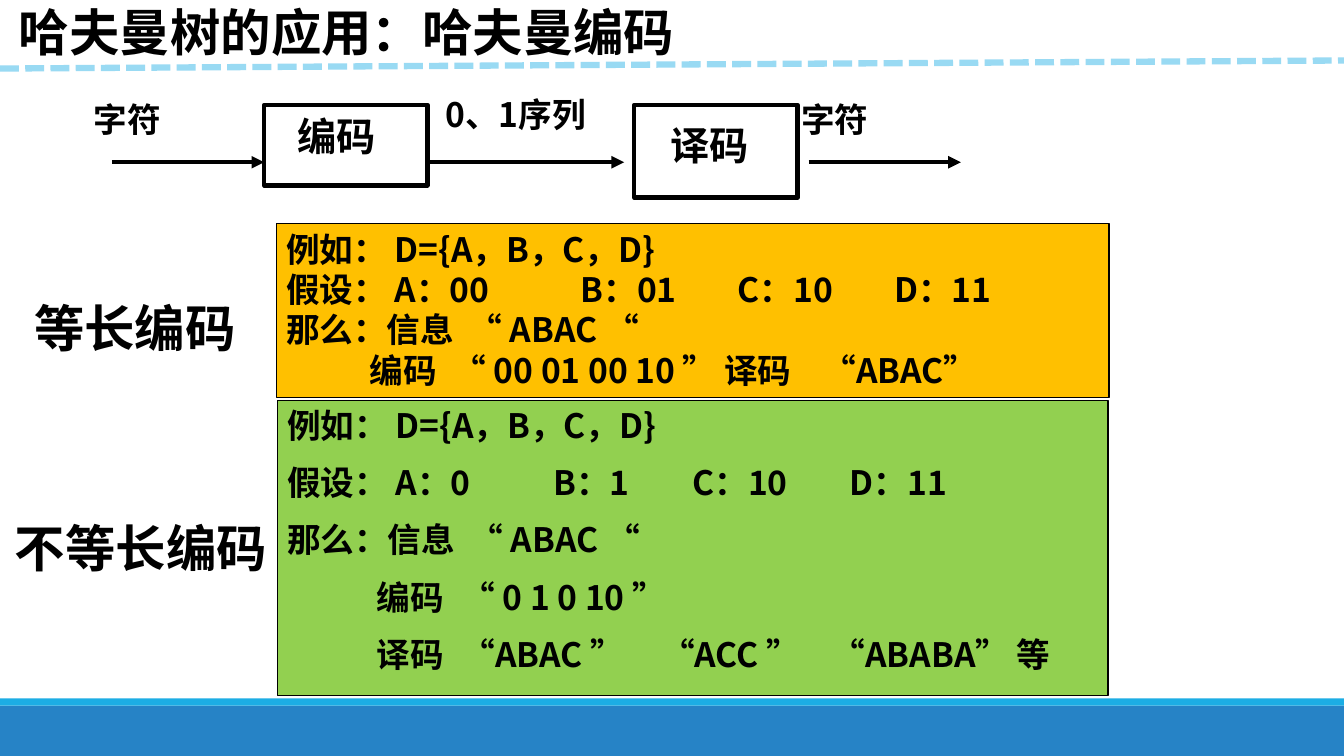
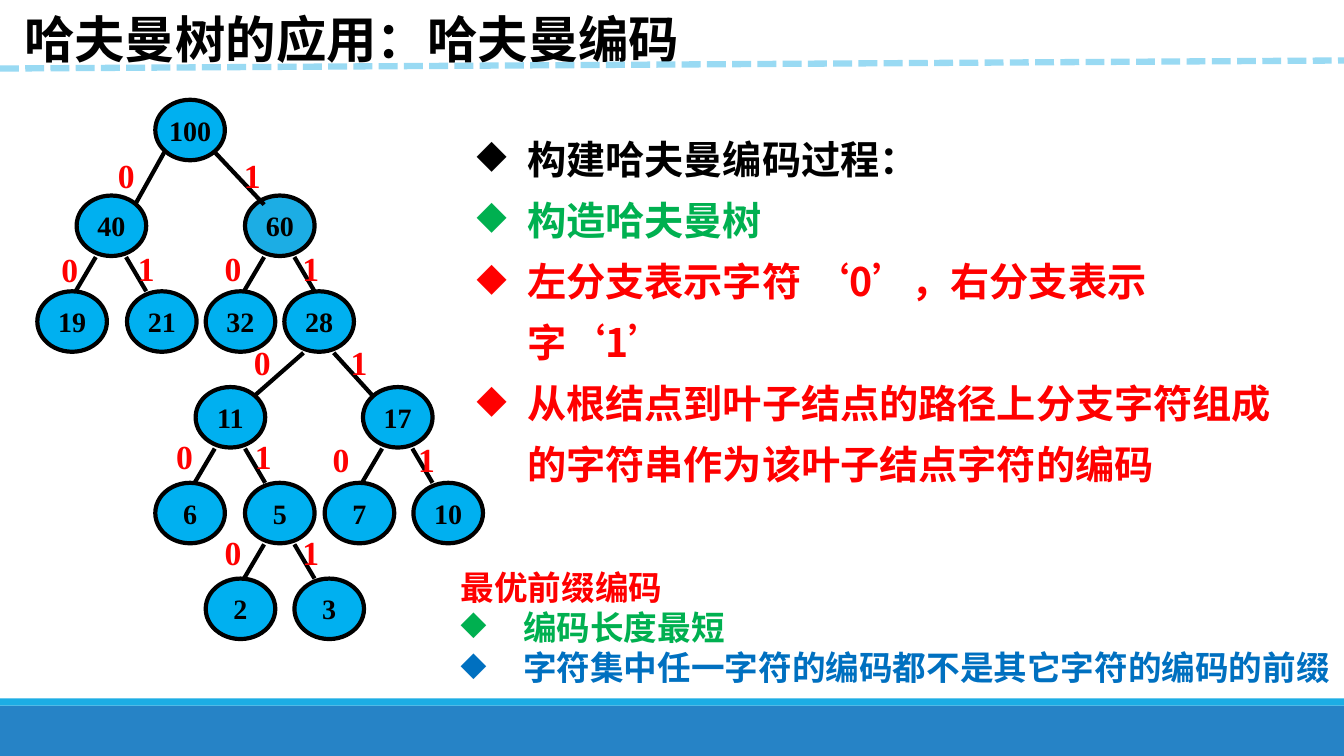
"""Build two slides on Huffman coding."""
from dataclasses import dataclass

import lxml.etree
import pptx
import pptx.dml.color
import pptx.enum.dml
import pptx.enum.shapes
import pptx.enum.text
import pptx.oxml.ns
import pptx.presentation
import pptx.shapes.autoshape
import pptx.shapes.connector
import pptx.slide
import pptx.util

EMU_PER_PX = 9144
SANS, SERIF = "Noto Sans CJK SC", "Times New Roman"
BLACK, RED, GREEN, BLUE = "000000", "FF0000", "00B050", "0070C0"
AMBER, LIME, NODE_BLUE, ACCENT = "FFC000", "92D050", "00B0F0", "1CADE4"
FOOTER_BLUE, DASH_BLUE = "2683C6", "99DAF3"
TITLE = "哈夫曼树的应用：哈夫曼编码"
NODE_WIDTH, NODE_HEIGHT = 69, 60
TREE_TOP, LEVEL_STEP = 99, 95
RECT = pptx.enum.shapes.MSO_SHAPE.RECTANGLE
OVAL = pptx.enum.shapes.MSO_SHAPE.OVAL


@dataclass(frozen=True)
class Box:
    left: int
    top: int
    width: int
    height: int


@dataclass(frozen=True)
class Line:
    text: str
    size: int = 24
    color: str = BLACK
    font: str = SANS
    spacing: float | None = None
    before: int = 0
    hanging: int = 0
    tabs: tuple[int, ...] = ()


@dataclass(frozen=True)
class Node:
    label: str
    center: int
    level: int
    fill: str = NODE_BLUE

    @property
    def top(self) -> int:
        return TREE_TOP + self.level * LEVEL_STEP


@dataclass(frozen=True)
class Branch:
    parent: str
    zero_at: tuple[int, int]
    one_at: tuple[int, int]
    start: tuple[int, int] = (15, 61)
    left_reach: int = 35
    right_reach: int = 35
    drop: int = 95


NODES = (
    Node("100", 188, 0),
    Node("40", 110, 1), Node("60", 277, 1, ACCENT),
    Node("19", 71, 2), Node("21", 160, 2), Node("32", 238, 2), Node("28", 316, 2),
    Node("11", 228, 3), Node("17", 394, 3),
    Node("6", 188, 4), Node("5", 277, 4), Node("7", 356, 4), Node("10", 444, 4),
    Node("2", 238, 5), Node("3", 326, 5),
)
BRANCHES = (
    Branch("100", (107, 149), (232, 149), (25, 52), 54, 74, 104),
    Branch("40", (51, 242), (127, 241)),
    Branch("60", (213, 241), (290, 241)),
    Branch("28", (242, 334), (338, 334), (15, 61), 64, 54, 104),
    Branch("11", (165, 428), (243, 428)),
    Branch("17", (320, 430), (405, 430)),
    Branch("5", (213, 523), (290, 523)),
)
FIXED_LENGTH = (
    Line("例如： D={A，B，C，D}"),
    Line("假设： A：00\tB：01\tC：10\tD：11", tabs=(292, 448, 603)),
    Line("那么：信息\t“ ABAC “", tabs=(181,)),
    Line("\t编码\t“ 00 01 00 10 ” 译码\t“ABAC”", tabs=(83, 165, 532)),
)
VARIABLE_LENGTH = (
    Line("例如： D={A，B，C，D}"),
    Line("假设： A：0\tB：1\tC：10\tD：11", before=12, tabs=(264, 402, 558)),
    Line("那么：信息\t“ ABAC “", before=12, tabs=(181,)),
    Line("\t编码\t“ 0 1 0 10 ”", before=12, tabs=(89, 173)),
    Line("\t译码\t“ABAC ”\t“ACC ”\t“ABABA” 等", before=12, tabs=(89, 173, 371, 540)),
)
STEPS = (
    ("构建哈夫曼编码过程：", BLACK),
    ("构造哈夫曼树", GREEN),
    ("左分支表示字符 ‘0’，右分支表示字‘1’", RED),
    ("从根结点到叶子结点的路径上分支字符组成的字符串作为该叶子结点字符的编码", RED),
)


def px(length: int) -> pptx.util.Emu:
    return pptx.util.Emu(length * EMU_PER_PX)


def rgb(color: str) -> pptx.dml.color.RGBColor:
    return pptx.dml.color.RGBColor.from_string(color)


def add_element(parent: lxml.etree._Element, tag: str, **attributes: str) -> lxml.etree._Element:
    return lxml.etree.SubElement(parent, pptx.oxml.ns.qn(tag), attributes)


def write(shape: pptx.shapes.autoshape.Shape, lines: tuple[Line, ...], wrap: bool = True,
          align: pptx.enum.text.PP_ALIGN = pptx.enum.text.PP_ALIGN.LEFT) -> None:
    frame = shape.text_frame
    frame.word_wrap = wrap
    for index, line in enumerate(lines):
        paragraph = frame.paragraphs[0] if index == 0 else frame.add_paragraph()
        paragraph.text = line.text
        properties = paragraph._p.get_or_add_pPr()
        if line.hanging:
            properties.set("marL", str(px(line.hanging)))
            properties.set("indent", str(-px(line.hanging)))
            add_element(properties, "a:buChar", char="◆")
        if line.tabs:
            stops = add_element(properties, "a:tabLst")
            for stop in line.tabs:
                add_element(stops, "a:tab", pos=str(px(stop)), algn="l")
        paragraph.alignment = align
        if line.spacing:
            paragraph.line_spacing = line.spacing
        if line.before:
            paragraph.space_before = pptx.util.Pt(line.before)
        font = paragraph.font
        font.name, font.size, font.bold = line.font, pptx.util.Pt(line.size), True
        font.color.rgb = rgb(line.color)
        add_element(properties.find(pptx.oxml.ns.qn("a:defRPr")), "a:ea", typeface=line.font)


def add_text(slide: pptx.slide.Slide, box: Box, *lines: Line) -> None:
    write(slide.shapes.add_textbox(px(box.left), px(box.top), px(box.width), px(box.height)), lines)


def add_block(slide: pptx.slide.Slide, box: Box, fill: str | None = None, outline: float = 0,
              kind: pptx.enum.shapes.MSO_SHAPE = RECT) -> pptx.shapes.autoshape.Shape:
    block = slide.shapes.add_shape(kind, px(box.left), px(box.top), px(box.width), px(box.height))
    block.shadow.inherit = False
    if fill:
        block.fill.solid()
        block.fill.fore_color.rgb = rgb(fill)
    else:
        block.fill.background()
    if outline:
        block.line.color.rgb = rgb(BLACK)
        block.line.width = pptx.util.Pt(outline)
    else:
        block.line.fill.background()
    return block


def add_line(slide: pptx.slide.Slide, start: tuple[int, int], end: tuple[int, int],
             color: str = BLACK, width: float = 3,
             arrow: bool = False) -> pptx.shapes.connector.Connector:
    line = slide.shapes.add_connector(pptx.enum.shapes.MSO_CONNECTOR.STRAIGHT,
                                      px(start[0]), px(start[1]), px(end[0]), px(end[1]))
    line.line.color.rgb = rgb(color)
    line.line.width = pptx.util.Pt(width)
    if arrow:
        add_element(line.line._get_or_add_ln(), "a:tailEnd", type="triangle")
    add_element(line._element.spPr, "a:effectLst")
    return line


def add_framed_slide(deck: pptx.presentation.Presentation, title_left: int,
                     title_top: int) -> pptx.slide.Slide:
    slide = deck.slides.add_slide(deck.slide_layouts[6])
    add_block(slide, Box(0, 700, 1333, 50), FOOTER_BLUE)
    add_block(slide, Box(0, 693, 1333, 7), ACCENT)
    add_text(slide, Box(title_left, title_top, 677, 71), Line(TITLE, 36))
    rule = add_line(slide, (0, 68), (1333, 60), DASH_BLUE, 4.5)
    rule.line.dash_style = pptx.enum.dml.MSO_LINE.SQUARE_DOT
    return slide


def build_coding_slide(deck: pptx.presentation.Presentation) -> None:
    slide = add_framed_slide(deck, 9, -4)
    for box in (Box(262, 104, 162, 80), Box(629, 104, 162, 92)):
        add_block(slide, box, outline=3)
    for left, top, stage in ((285, 106, "编码"), (655, 115, "译码")):
        add_text(slide, Box(left, top, 105, 69), Line(stage, 28))
    for start, end in ((111, 262), (424, 619), (802, 953)):
        add_line(slide, (start, 161), (end, 161), arrow=True)
    for left, top, signal in ((83, 81, "字符"), (432, 76, "0、1序列"), (785, 81, "字符")):
        add_text(slide, Box(left, top, 205, 69), Line(signal, spacing=1.3))
    add_text(slide, Box(24, 272, 222, 81), Line("等长编码", 36, spacing=1.3))
    add_text(slide, Box(5, 508, 273, 71), Line("不等长编码", 36))
    for box, fill, example in ((Box(274, 222, 826, 172), AMBER, FIXED_LENGTH),
                               (Box(275, 397, 824, 293), LIME, VARIABLE_LENGTH)):
        panel = add_block(slide, box, fill, 0.75)
        panel.text_frame.vertical_anchor = pptx.enum.text.MSO_ANCHOR.TOP
        write(panel, example)


def draw_tree(slide: pptx.slide.Slide) -> None:
    for node in NODES:
        box = Box(node.center - NODE_WIDTH // 2, node.top, NODE_WIDTH, NODE_HEIGHT)
        circle = add_block(slide, box, node.fill, 3, OVAL)
        circle.text_frame.vertical_anchor = pptx.enum.text.MSO_ANCHOR.MIDDLE
        write(circle, (Line(node.label, 20, font=SERIF),), False, pptx.enum.text.PP_ALIGN.CENTER)
    parents = {node.label: node for node in NODES}
    for branch in BRANCHES:
        parent = parents[branch.parent]
        offset, depth = branch.start
        for bit, side, reach, bit_at in (("0", -1, branch.left_reach, branch.zero_at),
                                         ("1", 1, branch.right_reach, branch.one_at)):
            add_line(slide, (parent.center + side * offset, parent.top + depth),
                     (parent.center + side * reach, parent.top + branch.drop))
            add_text(slide, Box(*bit_at, 43, 52), Line(bit, color=RED, font=SERIF))


def build_tree_slide(deck: pptx.presentation.Presentation) -> None:
    slide = add_framed_slide(deck, 14, 3)
    add_text(slide, Box(463, 115, 820, 310),
             *(Line(step, 28, color, spacing=1.3, hanging=50) for step, color in STEPS))
    draw_tree(slide)
    add_text(slide, Box(447, 557, 891, 131),
             Line("最优前缀编码", color=RED),
             Line("编码长度最短", color=GREEN, hanging=62),
             Line("字符集中任一字符的编码都不是其它字符的编码的前缀", color=BLUE, hanging=62))


def main() -> None:
    deck = pptx.Presentation()
    deck.slide_width, deck.slide_height = px(1333), px(750)
    build_coding_slide(deck)
    build_tree_slide(deck)
    deck.save("out.pptx")


if __name__ == "__main__":
    main()
